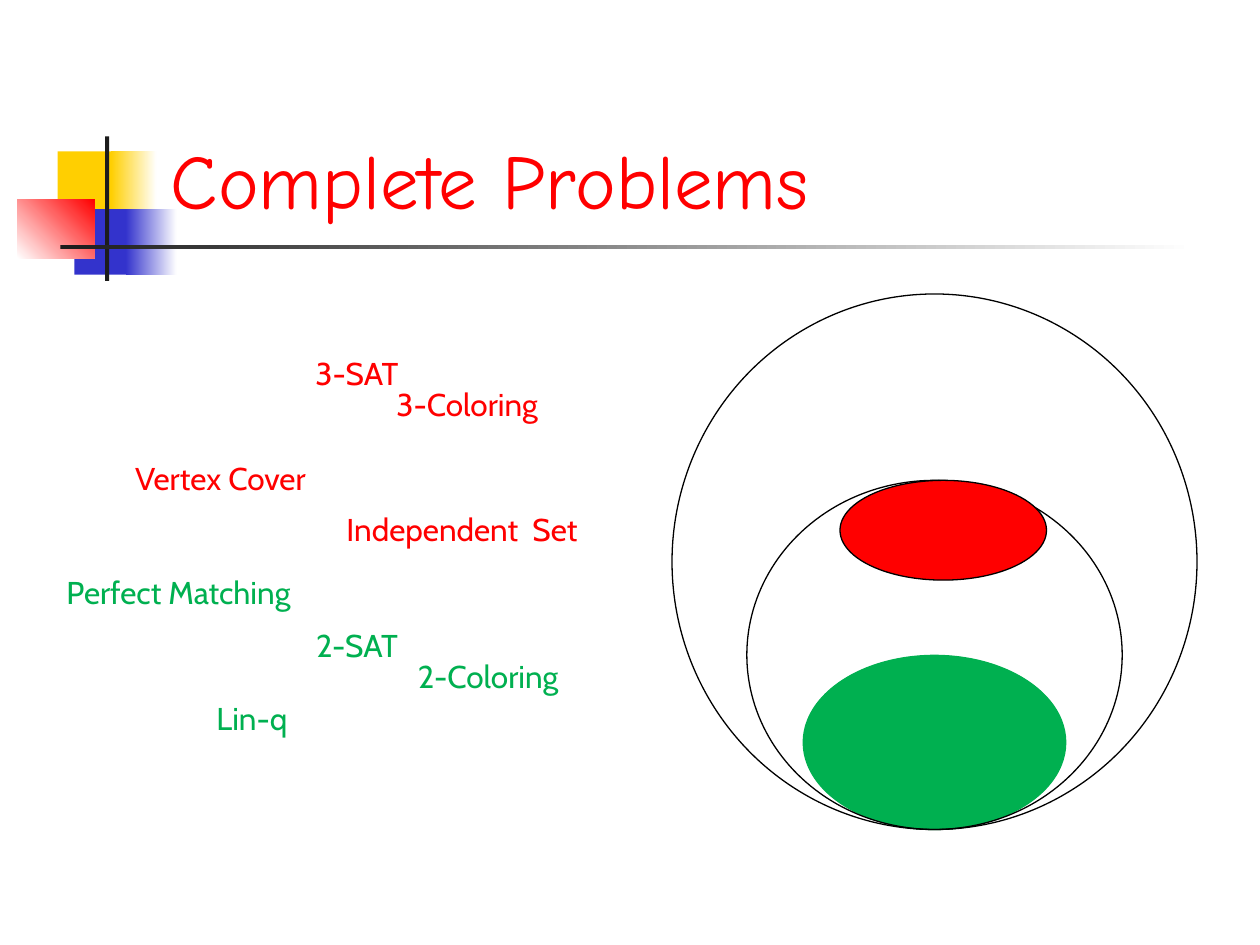
from dataclasses import dataclass

from pptx import Presentation
from pptx.dml.color import RGBColor
from pptx.enum.shapes import MSO_SHAPE
from pptx.enum.text import MSO_ANCHOR, MSO_AUTO_SIZE, PP_ALIGN
from pptx.util import Pt

RECTANGLE, OVAL = MSO_SHAPE.RECTANGLE, MSO_SHAPE.OVAL
BOTTOM, TOP = MSO_ANCHOR.BOTTOM, MSO_ANCHOR.TOP
LEFT, CENTER = PP_ALIGN.LEFT, PP_ALIGN.CENTER
FIT_SHAPE, NO_FIT = MSO_AUTO_SIZE.SHAPE_TO_FIT_TEXT, MSO_AUTO_SIZE.NONE


@dataclass(frozen=True)
class Theme:
    red: str = "FF0000"
    green: str = "00B050"
    yellow: str = "FFCF01"
    blue: str = "3333CC"
    dark: str = "1C1C1C"
    black: str = "000000"
    white: str = "FFFFFF"
    title_font: str = "Comic Neue"
    label_font: str = "Cabin"
    title_size: int = 44
    label_size: int = 18
    outline: float = 0.75


THEME = Theme()


def rgb(color):
    return RGBColor.from_string(color)


def add_figure(slide, kind, box, fill=None, line=None, angle=0):
    """Draw a preset shape; a pair of colours as fill makes a gradient."""
    figure = slide.shapes.add_shape(kind, *map(Pt, box))
    figure.shadow.inherit = False
    if fill is None:
        figure.fill.background()
    elif isinstance(fill, tuple):
        figure.fill.gradient()
        figure.fill.gradient_angle = angle
        for stop, color in zip(figure.fill.gradient_stops, fill):
            stop.color.rgb = rgb(color)
    else:
        figure.fill.solid()
        figure.fill.fore_color.rgb = rgb(fill)
    if line is None:
        figure.line.fill.background()
    else:
        figure.line.color.rgb = rgb(line)
        figure.line.width = Pt(THEME.outline)


def add_text(slide, box, text, font, size, color, align, anchor, fit):
    frame = slide.shapes.add_textbox(*map(Pt, box)).text_frame
    frame.word_wrap = True
    frame.auto_size = fit
    frame.vertical_anchor = anchor
    frame.text = text
    paragraph = frame.paragraphs[0]
    paragraph.alignment = align
    run_font = paragraph.runs[0].font
    run_font.name, run_font.size = font, Pt(size)
    run_font.color.rgb = rgb(color)


def add_emblem(slide, box):
    """Overlapping squares with a crossed bar and a fading rule."""
    left, top, width, height = box
    parts = [
        (23, 8.5, 34.5, 37.5, THEME.yellow, 0),
        (53.5, 8.5, 26, 37.5, (THEME.yellow, THEME.white), 0),
        (32.5, 41.5, 33, 37.5, THEME.blue, 0),
        (62, 41.5, 29, 37.5, (THEME.blue, THEME.white), 0),
        (0, 36, 44, 33.5, (THEME.white, THEME.red), 45),
        (50, 0, 2.4, height, THEME.dark, 0),
        (24.5, 62, width - 24.5, 2.5, (THEME.dark, THEME.white), 0),
    ]
    for x, y, w, h, fill, angle in parts:
        add_figure(slide, RECTANGLE, (left + x, top + y, w, h), fill, angle=angle)


def add_title(slide, box, text):
    add_text(slide, box, text, THEME.title_font, THEME.title_size,
             THEME.red, LEFT, BOTTOM, NO_FIT)


def add_nested_classes(slide, box):
    """Ovals sharing the bottom of the box, with the complete class on top."""
    left, top, width, height = box
    center, bottom = left + width / 2, top + height
    inner_height = 199.5

    def resting(w, h):
        return center - w / 2, bottom - h, w, h

    add_figure(slide, OVAL, resting(150, 99.5), THEME.green, THEME.green)
    add_figure(slide, OVAL, resting(214.5, inner_height), line=THEME.black)
    add_figure(slide, OVAL, box, line=THEME.black)
    complete = (center - 54, bottom - inner_height, 118, 57)
    add_figure(slide, OVAL, complete, THEME.red, THEME.black)


def add_problem_labels(slide, box):
    left, top = box[:2]
    labels = [
        ("3-SAT", 144, 0, 72, THEME.red),
        ("2-SAT", 144, 155.5, 72, THEME.green),
        ("3-Coloring", 192, 18, 102, THEME.red),
        ("2-Coloring", 204, 173.5, 102, THEME.green),
        ("Vertex Cover", 30, 60, 144, THEME.red),
        ("Independent  Set", 162, 89.5, 156, THEME.red),
        ("Lin-q", 48, 197.5, 144, THEME.green),
        ("Perfect Matching", 0, 125.5, 156, THEME.green),
    ]
    for text, x, y, width, color in labels:
        add_text(slide, (left + x, top + y, width, 29), text, THEME.label_font,
                 THEME.label_size, color, CENTER, TOP, FIT_SHAPE)


def main():
    deck = Presentation()
    deck.slide_width, deck.slide_height = Pt(720), Pt(540)
    slide = deck.slides.add_slide(deck.slide_layouts[6])
    add_emblem(slide, (10, 78, 672.5, 82.5))
    add_title(slide, (90.5, 16.5, 613.5, 115.5), "Complete Problems")
    add_nested_classes(slide, (384, 168, 300, 306))
    add_problem_labels(slide, (24, 198.5, 318, 226.5))
    deck.save("out.pptx")


if __name__ == "__main__":
    main()
